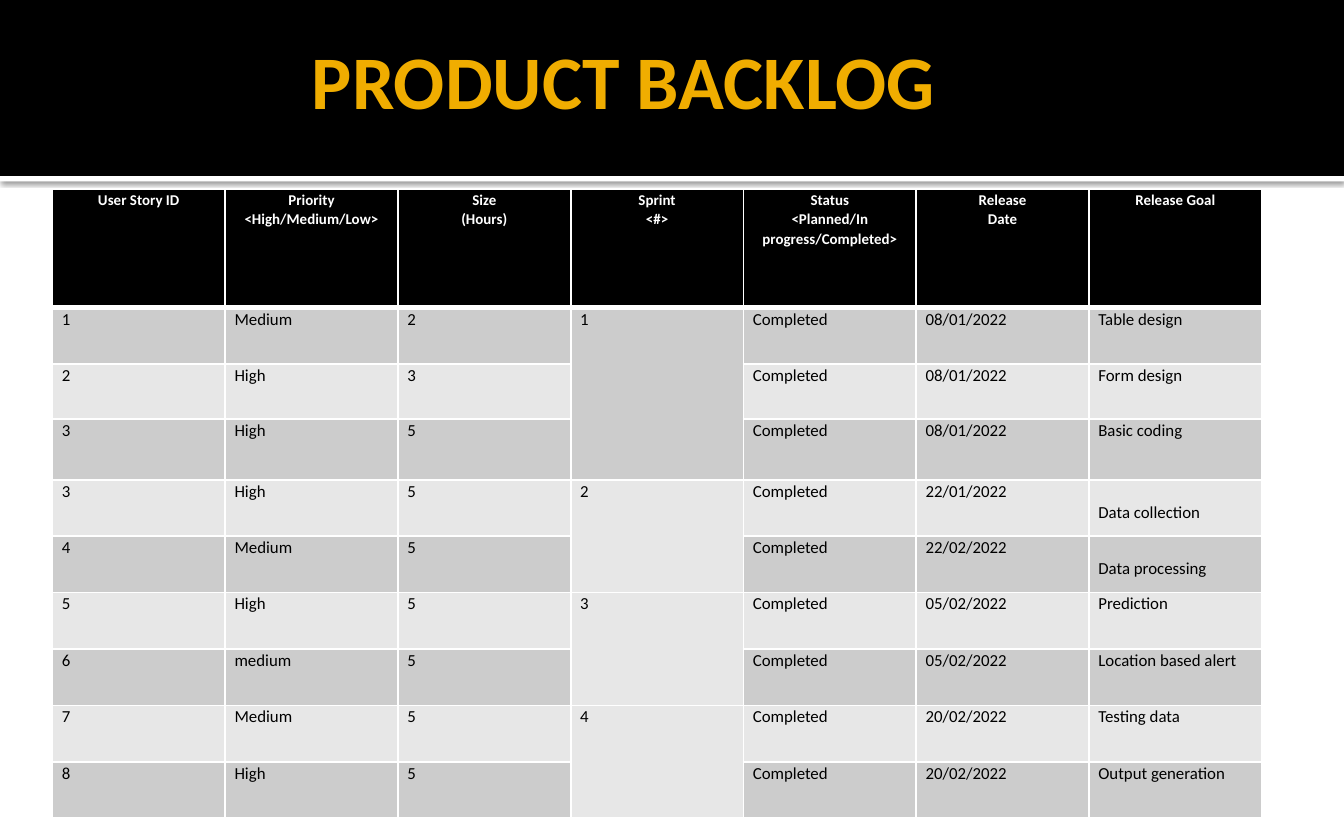
from pptx import Presentation
from pptx.dml.color import RGBColor as Rgb
from pptx.enum.shapes import MSO_SHAPE as Shape
from pptx.enum.text import MSO_ANCHOR as Anchor, MSO_AUTO_SIZE as AutoSize, PP_ALIGN as Align
from pptx.oxml import parse_xml
from pptx.oxml.ns import nsdecls
from pptx.util import Inches, Pt

COLORS = {"black": "000000", "white": "FFFFFF", "gold": "F0AD00",
          "dark_band": "CCCCCC", "light_band": "E7E7E7"}
FONT = "Calibri"

HEADERS = ["User Story ID", "Priority\n<High/Medium/Low>", "Size\n(Hours)", "Sprint\n<#>",
           "Status\n<Planned/In progress/Completed>", "Release\nDate", "Release Goal"]
STORIES = [
    ["1", "Medium", "2", "1", "Completed", "08/01/2022", "Table design"],
    ["2", "High", "3", "", "Completed", "08/01/2022", "Form design"],
    ["3", "High", "5", "", "Completed", "08/01/2022", "Basic coding"],
    ["3", "High", "5", "2", "Completed", "22/01/2022", "Data collection"],
    ["4", "Medium", "5", "", "Completed", "22/02/2022", "Data processing"],
    ["5", "High", "5", "3", "Completed", "05/02/2022", "Prediction"],
    ["6", "medium", "5", "", "Completed", "05/02/2022", "Location based alert"],
    ["7", "Medium", "5", "4", "Completed", "20/02/2022", "Testing data"],
    ["8", "High", "5", "", "Completed", "20/02/2022", "Output generation"],
]
ROW_HEIGHTS = [0.88, 0.42, 0.41, 0.45] + [0.42] * 6
SPRINT_COLUMN = 3
SPRINT_ROWS = [(1, 3), (4, 5), (6, 7), (8, 9)]
LOWERED_GOALS = ("Data collection", "Data processing")


def write_text(frame, text, size, color, bold=False, align=Align.LEFT, line_spacing=None):
    frame.word_wrap = True
    for index, line in enumerate(text.split("\n")):
        para = frame.paragraphs[0] if index == 0 else frame.add_paragraph()
        para.alignment = align
        para.line_spacing = line_spacing
        span = para.add_run()
        span.text = line
        span.font.name = FONT
        span.font.size = Pt(size)
        span.font.bold = bold
        span.font.color.rgb = Rgb.from_string(COLORS[color])


def add_band(page, left, top, width, height, color):
    band = page.shapes.add_shape(Shape.RECTANGLE, left, top, width, height)
    band.shadow.inherit = False
    band.fill.solid()
    band.fill.fore_color.rgb = Rgb.from_string(COLORS[color])
    band.line.fill.background()
    return band


def add_shadow(shape):
    effects = shape.element.spPr.find(
        "{http://schemas.openxmlformats.org/drawingml/2006/main}effectLst")
    effects.append(parse_xml(
        f'<a:outerShdw {nsdecls("a")} blurRad="{Pt(2.5)}" dist="{Pt(0.8)}" dir="5400000" '
        f'rotWithShape="0"><a:srgbClr val="{COLORS["black"]}"><a:alpha val="60000"/>'
        '</a:srgbClr></a:outerShdw>'))


def add_header(page, left, top, width, height):
    strip = add_band(page, left, top + height, width, Inches(0.04), "white")
    add_shadow(strip)
    band = add_band(page, left, top, width, height, "black")
    title = page.shapes.title
    band.element.addnext(title.element)
    title.left, title.top = left + Inches(0.47), top + Inches(0.26)
    title.width, title.height = width - Inches(1), Inches(0.66)
    frame = title.text_frame
    frame.auto_size = AutoSize.NONE
    frame.vertical_anchor = Anchor.MIDDLE
    frame.margin_left = Inches(1.85)
    frame.margin_top = frame.margin_right = frame.margin_bottom = Inches(0.05)
    write_text(frame, "PRODUCT BACKLOG", 40.5, "gold", bold=True)


def set_borders(cell, top=1, bottom=1):
    properties = cell._tc.get_or_add_tcPr()
    for side, width in (("L", 1), ("R", 1), ("T", top), ("B", bottom)):
        properties.append(parse_xml(
            f'<a:ln{side} {nsdecls("a")} w="{Pt(width)}"><a:solidFill>'
            f'<a:srgbClr val="{COLORS["white"]}"/></a:solidFill></a:ln{side}>'))


def format_cell(cell, fill, top=1, bottom=1):
    set_borders(cell, top, bottom)
    cell.fill.solid()
    cell.fill.fore_color.rgb = Rgb.from_string(COLORS[fill])
    cell.margin_left = cell.margin_right = Inches(0.07)
    cell.margin_top = cell.margin_bottom = 0


def add_backlog(page, left, top, width):
    rows, columns = len(STORIES) + 1, len(HEADERS)
    table = page.shapes.add_table(rows, columns, left, top, width,
                                  Inches(sum(ROW_HEIGHTS))).table
    table.horz_banding = False
    for row, height in zip(table.rows, ROW_HEIGHTS):
        row.height = Inches(height)
    for column, header in enumerate(HEADERS):
        cell = table.cell(0, column)
        format_cell(cell, "black", bottom=3)
        write_text(cell.text_frame, header, 8, "white", bold=True,
                   align=Align.CENTER, line_spacing=1.07)
    for row, story in enumerate(STORIES, 1):
        for column, text in enumerate(story):
            cell = table.cell(row, column)
            format_cell(cell, "dark_band" if row % 2 else "light_band",
                        top=3 if row == 1 else 1)
            if text in LOWERED_GOALS:
                cell.margin_top = Inches(0.16)
            if text:
                write_text(cell.text_frame, text, 9, "black", line_spacing=1.07)
    for first, last in SPRINT_ROWS:
        sprint = table.cell(first, SPRINT_COLUMN)
        sprint.merge(table.cell(last, SPRINT_COLUMN))
        sprint.fill.fore_color.rgb = Rgb.from_string(
            COLORS["dark_band" if first == 1 else "light_band"])


def main():
    deck = Presentation()
    deck.slide_width, deck.slide_height = Inches(10), Inches(6.25)
    page = deck.slides.add_slide(deck.slide_layouts[5])
    add_header(page, 0, 0, deck.slide_width, Inches(1.31))
    add_backlog(page, Inches(0.39), Inches(1.41), Inches(9))
    deck.save("out.pptx")


if __name__ == "__main__":
    main()
